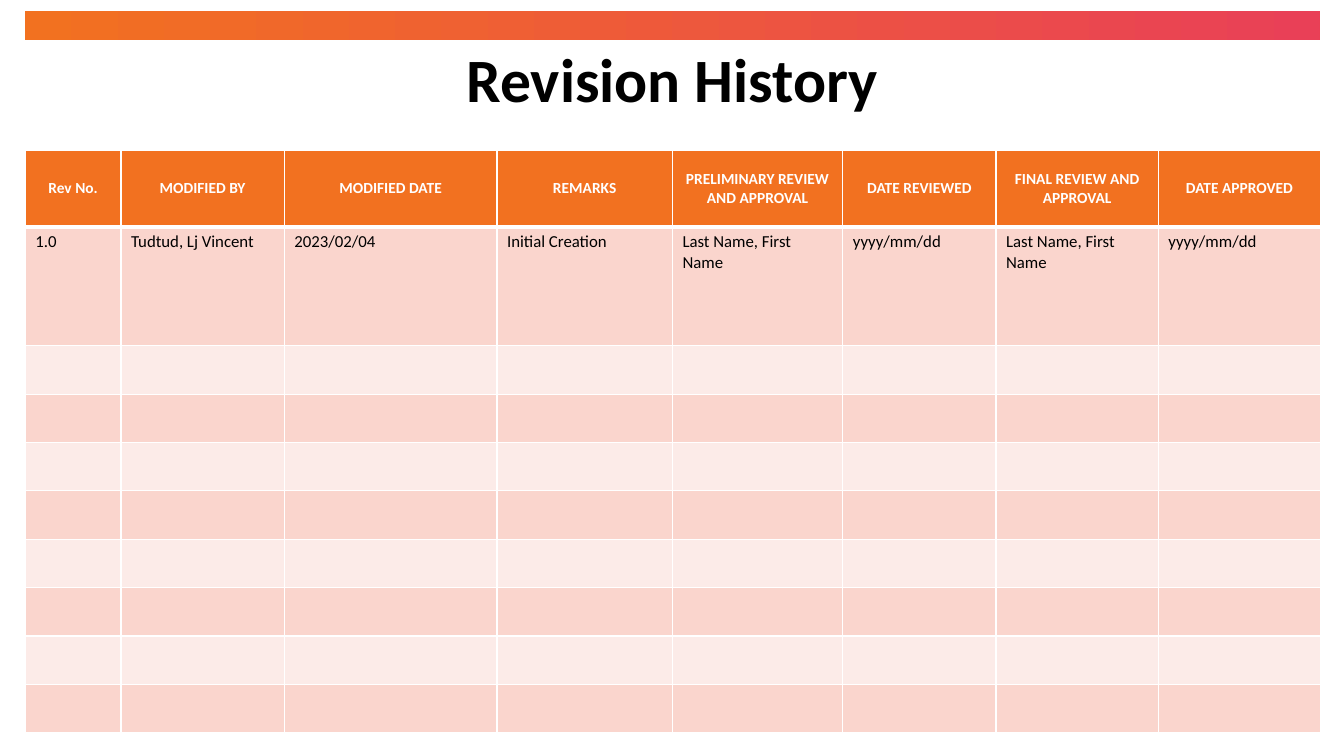
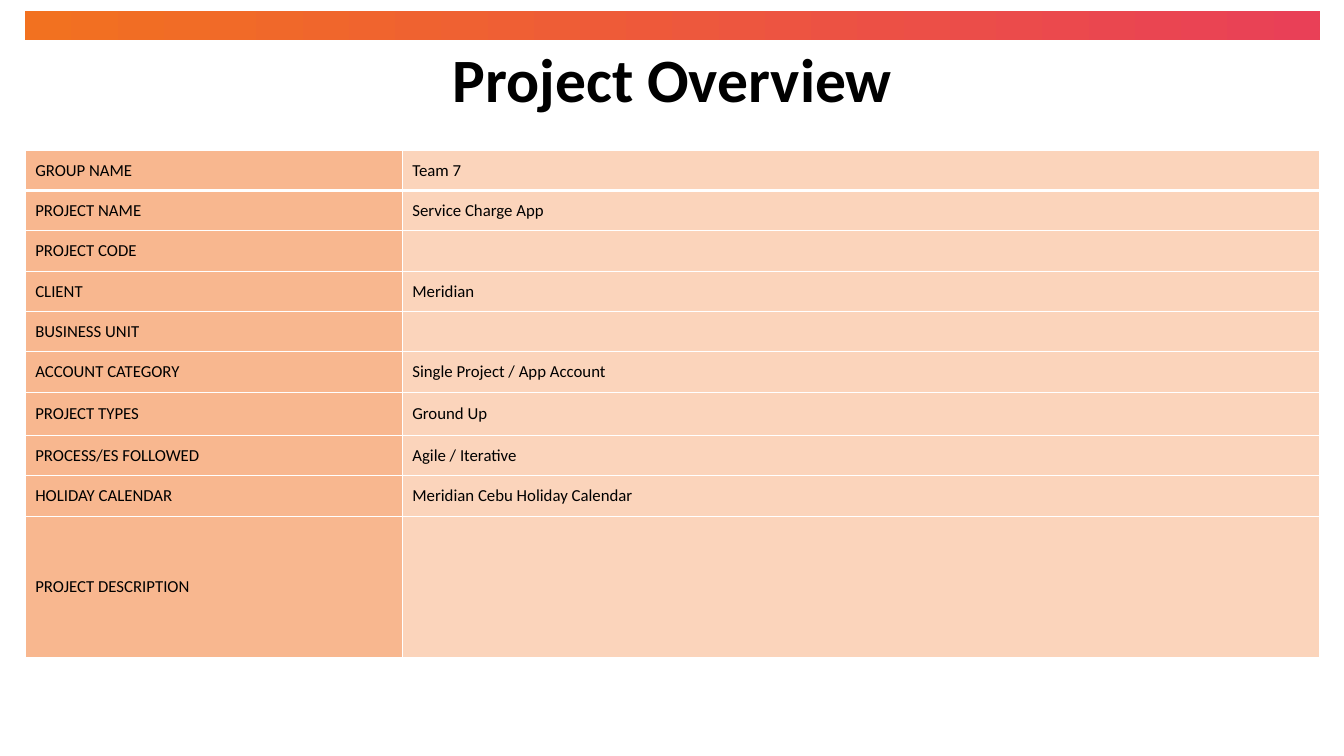
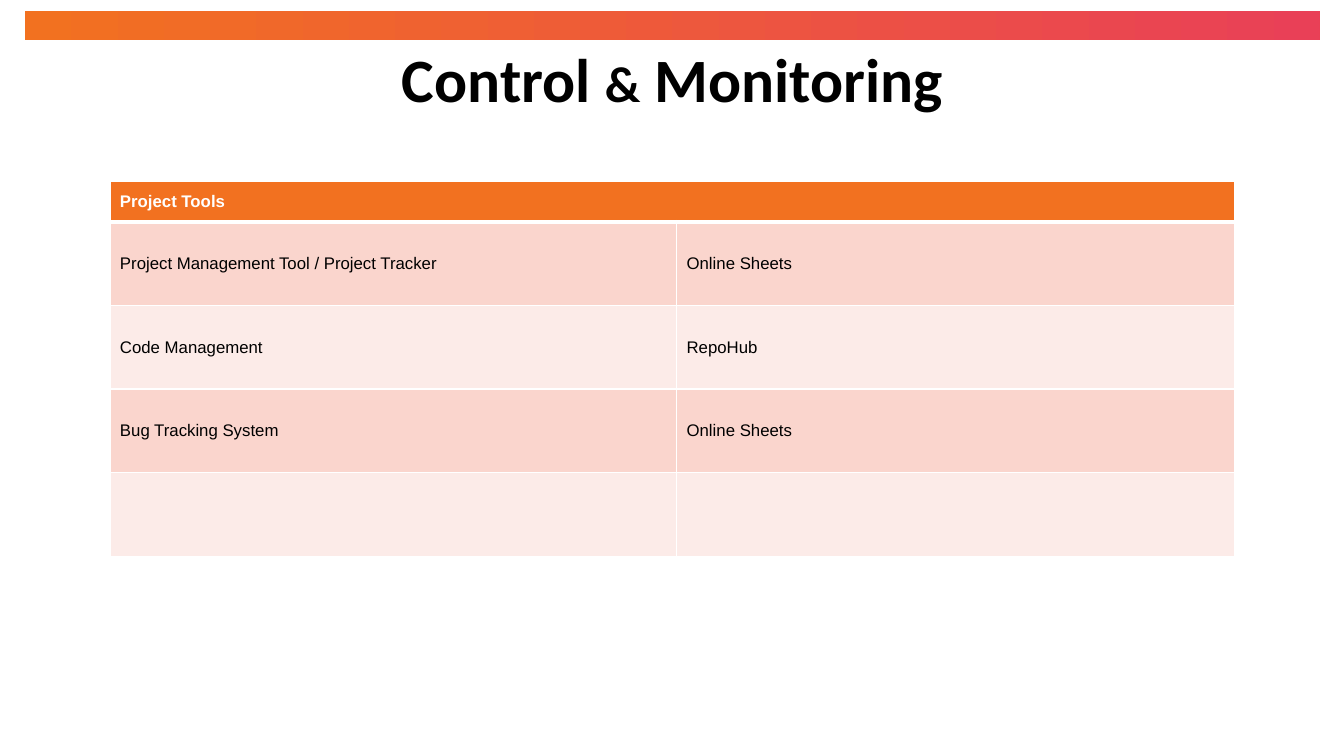
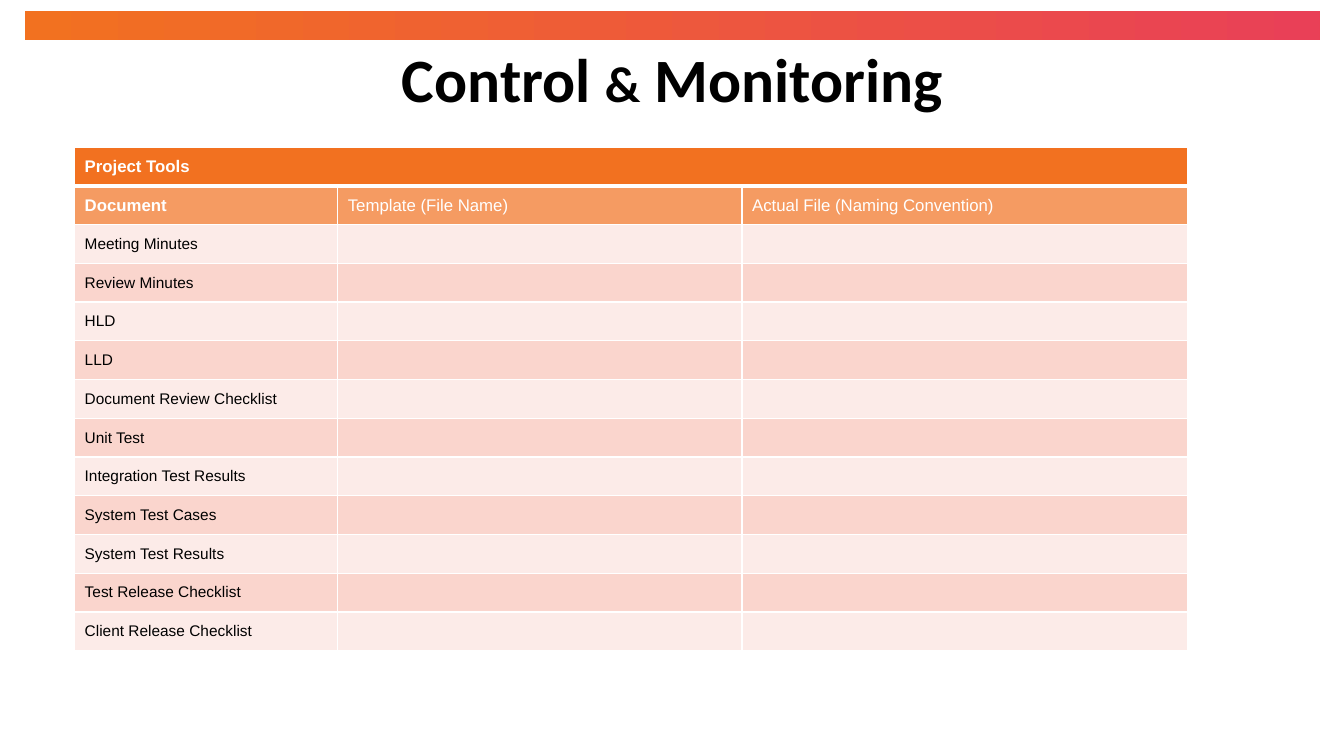
from dataclasses import dataclass, replace

from lxml.etree import SubElement
from pptx import Presentation
from pptx.dml.color import RGBColor as RGB
from pptx.enum.shapes import MSO_SHAPE as Shape
from pptx.enum.text import MSO_ANCHOR as Anchor, PP_ALIGN as Align
from pptx.oxml import parse_xml
from pptx.oxml.ns import nsdecls, qn
from pptx.util import Inches, Pt


@dataclass(frozen=True)
class Theme:
    """Colours, fonts and type sizes of the deck."""
    orange: str = "F27120"
    red: str = "E94057"
    rose: str = "FAD5CD"
    blush: str = "FCEBE8"
    white: str = "FFFFFF"
    black: str = "000000"
    sans: str = "Calibri"
    plain: str = "Arial"
    title: int = 44
    sign: int = 36
    body: int = 12
    small: int = 11
    thin: int = 1
    thick: int = 3


T = Theme()


@dataclass(frozen=True)
class Look:
    """Style of one table cell; alpha is the fill's opacity in percent."""
    fill: str
    alpha: int = 100
    color: str = T.black
    size: int = T.body
    font: str = T.plain
    bold: bool = False
    align: Align = Align.LEFT
    anchor: Anchor = Anchor.MIDDLE


HEAD = Look(T.orange, color=T.white, bold=True)
BANDS = [Look(T.rose), Look(T.blush)]


def style(run, font, size, color, bold):
    """Set the font of a run."""
    run.font.name, run.font.size, run.font.bold = font, Pt(size), bold
    run.font.color.rgb = RGB.from_string(color)


def edge(cell, widths):
    """Draw white cell borders, widths in points by side."""
    props = cell._tc.get_or_add_tcPr()
    for spot, (side, width) in enumerate(widths.items()):
        props.insert(spot, parse_xml(
            f'<a:ln{side} {nsdecls("a")} w="{Pt(width)}"><a:solidFill>'
            f'<a:srgbClr val="{T.white}"/></a:solidFill></a:ln{side}>'))


class Deck:
    """Holds the theme, the file and the current slide."""

    def __init__(self, theme):
        """Start an empty wide deck."""
        self.theme = theme
        self.file = Presentation()
        self.file.slide_width = Inches(13.33)
        self.file.slide_height = Inches(7.5)

    def page(self, *parts):
        """Add a slide with its band and a title made of (text, size) parts."""
        self.slide = self.file.slides.add_slide(self.file.slide_layouts[6])
        self.band()
        self.title(parts)

    def band(self):
        """Draw the gradient band at the top."""
        bar = self.slide.shapes.add_shape(
            Shape.RECTANGLE, Inches(0.25), Inches(0.11), Inches(12.84), Inches(0.29))
        bar.shadow.inherit = False
        bar.line.fill.background()
        bar.fill.gradient()
        bar.fill.gradient_angle = 0
        for stop, color in zip(bar.fill.gradient_stops, (self.theme.orange, self.theme.red)):
            stop.color.rgb = RGB.from_string(color)

    def title(self, parts):
        """Write the centred title."""
        box = self.slide.shapes.add_textbox(
            Inches(0.92), Inches(0.4), Inches(11.5), Inches(0.83))
        frame = box.text_frame
        frame.word_wrap = True
        frame.vertical_anchor = Anchor.MIDDLE
        para = frame.paragraphs[0]
        para.alignment, para.line_spacing = Align.CENTER, 0.9
        for text, size in parts:
            run = para.add_run()
            run.text = text
            style(run, self.theme.sans, size, self.theme.black, True)

    def cell(self, cell, text, look):
        """Fill one cell with text in the given look."""
        cell.fill.solid()
        cell.fill.fore_color.rgb = RGB.from_string(look.fill)
        if look.alpha < 100:
            tint = cell._tc.tcPr.find(".//" + qn("a:srgbClr"))
            SubElement(tint, qn("a:alpha"), val=str(look.alpha * 1000))
        cell.vertical_anchor = look.anchor
        para = cell.text_frame.paragraphs[0]
        para.text, para.alignment = text, look.align
        for run in para.runs:
            style(run, look.font, look.size, look.color, look.bold)
        if not text:
            SubElement(para._p, qn("a:endParaRPr"), sz=str(look.size * 100))

    def table(self, left, top, cols, rows, span=False):
        """Add a table; each row is (height, texts, looks), the last look repeats."""
        high = sum(row[0] for row in rows)
        grid = self.slide.shapes.add_table(
            len(rows), len(cols), Inches(left), Inches(top),
            Inches(sum(cols)), Inches(high)).table
        grid.first_row = grid.horz_banding = False
        for col, width in zip(grid.columns, cols):
            col.width = Inches(width)
        thin, thick = self.theme.thin, self.theme.thick
        for r, (height, texts, looks) in enumerate(rows):
            grid.rows[r].height = Inches(height)
            for c in range(len(cols)):
                cell = grid.cell(r, c)
                text = texts[c] if c < len(texts) else ""
                self.cell(cell, text, looks[min(c, len(looks) - 1)])
                edge(cell, {"L": thin, "R": thin,
                            "T": thick if r == 1 else thin,
                            "B": thick if r == 0 else thin})
        if span:
            grid.cell(0, 0).merge(grid.cell(0, len(cols) - 1))


def history(deck):
    """Build the revision history slide."""
    deck.page(("Revision History", T.title))
    head = replace(HEAD, size=T.small, font=T.sans, align=Align.CENTER)
    bands = [replace(band, font=T.sans, anchor=Anchor.TOP) for band in BANDS]
    names = ["Rev No.", "MODIFIED BY", "MODIFIED DATE", "REMARKS",
             "PRELIMINARY REVIEW AND APPROVAL", "DATE REVIEWED",
             "FINAL REVIEW AND APPROVAL", "DATE APPROVED"]
    check = ["Last Name, First Name", "yyyy/mm/dd"]
    first = ["1.0", "Tudtud, Lj Vincent", "2023/02/04", "Initial Creation"] + check * 2
    rows = [(0.76, names, [head]), (1.18, first, [bands[0]])]
    rows += [(0.48, [], [bands[n % 2]]) for n in range(1, 9)]
    deck.table(0.25, 1.49, [0.95, 1.62, 2.11, 1.74, 1.69, 1.52, 1.61, 1.61], rows)


def overview(deck):
    """Build the project overview slide."""
    deck.page(("Project Overview", T.title))
    label = Look(T.orange, alpha=50, font=T.sans)
    looks = [label, replace(label, alpha=30)]
    facts = [("GROUP NAME", "Team 7"),
             ("PROJECT NAME", "Service Charge App"),
             ("PROJECT CODE", ""),
             ("CLIENT", "Meridian"),
             ("BUSINESS UNIT", ""),
             ("ACCOUNT CATEGORY", "Single Project / App Account"),
             ("PROJECT TYPES", "Ground Up"),
             ("PROCESS/ES FOLLOWED", "Agile / Iterative"),
             ("HOLIDAY CALENDAR", "Meridian Cebu Holiday Calendar"),
             ("PROJECT DESCRIPTION", "")]
    tall = {"PROJECT TYPES": 0.43, "PROJECT DESCRIPTION": 1.4}
    rows = [(tall.get(fact[0], 0.4), fact, looks) for fact in facts]
    deck.table(0.25, 1.49, [3.74, 9.1], rows)


def control(deck):
    """Start a control and monitoring slide."""
    deck.page(("Control ", T.title), ("&", T.sign), (" Monitoring", T.title))


def tools(deck):
    """Build the project tools slide."""
    control(deck)
    uses = [("Project Management Tool / Project Tracker", "Online Sheets"),
            ("Code Management", "RepoHub"),
            ("Bug Tracking System", "Online Sheets"),
            ()]
    rows = [(0.4, ["Project Tools"], [HEAD])]
    rows += [(0.83, use, [BANDS[n % 2]]) for n, use in enumerate(uses)]
    deck.table(1.09, 1.8, [5.62, 5.54], rows, span=True)


def papers(deck):
    """Build the project documents slide."""
    control(deck)
    sub = replace(HEAD, alpha=70)
    bands = [replace(band, size=T.small) for band in reversed(BANDS)]
    names = ["Meeting Minutes", "Review Minutes", "HLD", "LLD",
             "Document Review Checklist", "Unit Test", "Integration Test Results",
             "System Test Cases", "System Test Results", "Test Release Checklist",
             "Client Release Checklist"]
    high = 5 / (len(names) + 2)
    heads = ["Document", "Template (File Name)", "Actual File (Naming Convention)"]
    rows = [(high, ["Project Tools"], [HEAD]),
            (high, heads, [sub, replace(sub, bold=False)])]
    rows += [(high, [name], [bands[n % 2]]) for n, name in enumerate(names)]
    deck.table(0.74, 1.46, [2.61, 4.01, 4.42], rows, span=True)


deck = Deck(T)
for build in (history, overview, tools, papers):
    build(deck)
deck.file.save("out.pptx")
